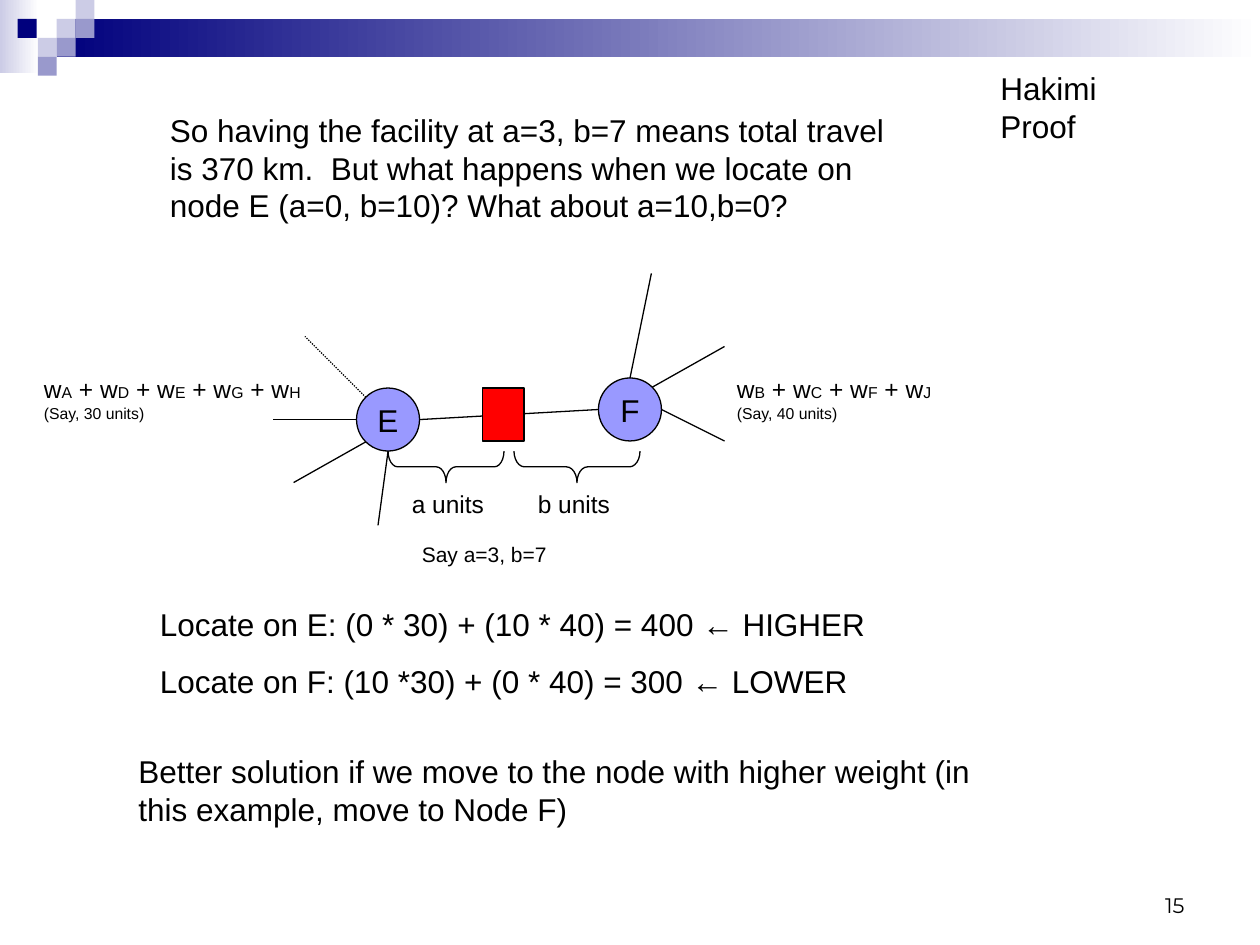
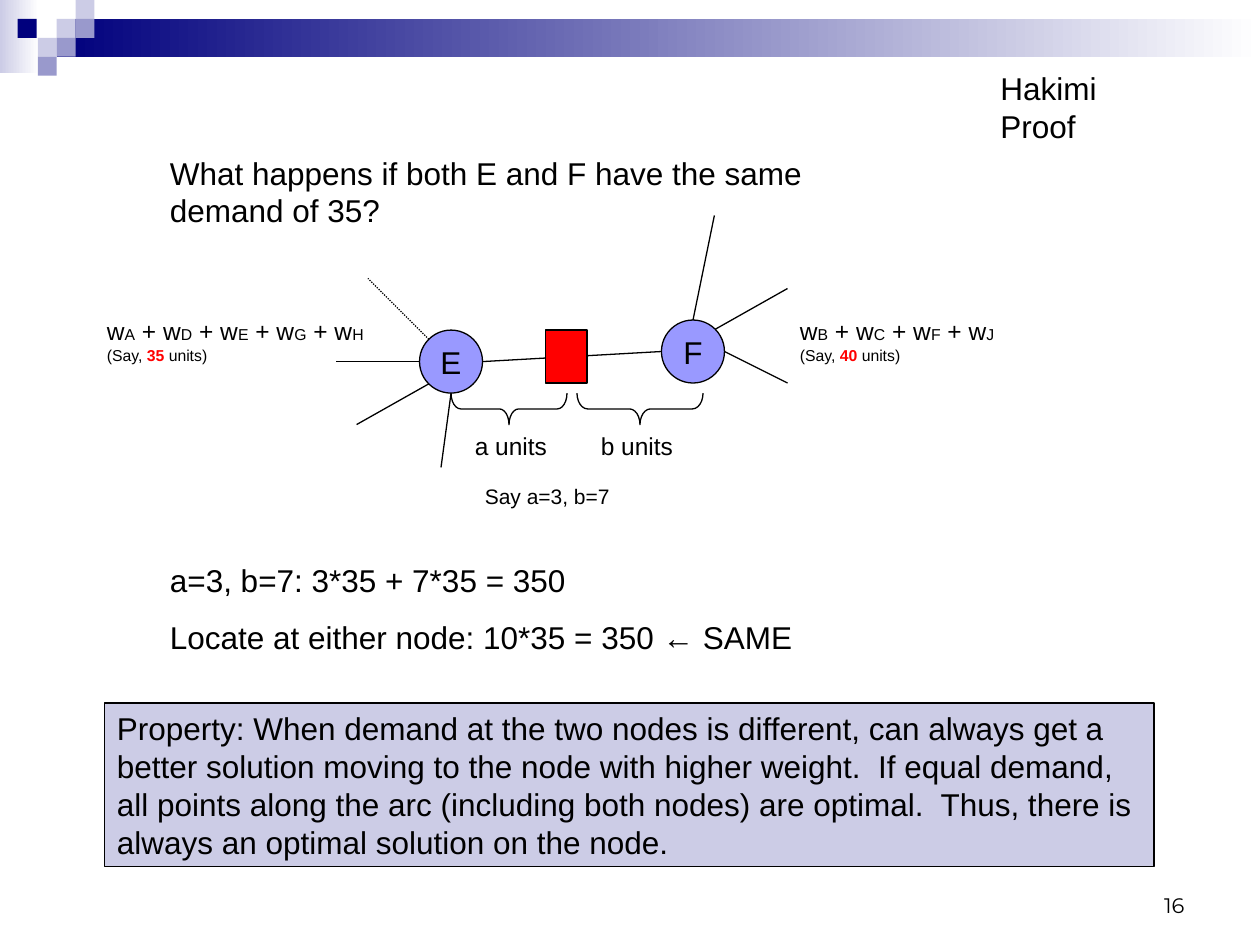
import math

import pptx
import pptx.dml.color
import pptx.enum.dml
import pptx.enum.shapes
import pptx.enum.text
import pptx.oxml.ns
import pptx.util
from lxml import etree

Inches = pptx.util.Inches
Pt = pptx.util.Pt
MSO = pptx.enum.shapes.MSO_SHAPE
ALIGN = pptx.enum.text.PP_ALIGN
ANCHOR = pptx.enum.text.MSO_ANCHOR

COLORS = {
    "black": "000000",
    "white": "FFFFFF",
    "navy": "00007D",
    "pale": "CCCCE6",
    "lavender": "9999CC",
    "node": "9999FF",
    "red": "FF0000",
}
TILE = 0.15
TILES = [
    (0.45, 0.15, "pale"),
    (0.6, 0, "pale"),
    (0.6, 0.15, "lavender"),
    (0.3, 0.3, "pale"),
    (0.14, 0.15, "navy"),
    (0.45, 0.3, "lavender"),
    (0.3, 0.45, "lavender"),
]
RADIUS = 0.25
SPOKES_E = [(225, -0.66, -0.66, True), (135, -0.75, 0.5, False),
            (90, -0.08, 0.84, False), (180, -0.91, 0, False)]
SPOKES_F = [(0, 0.75, 0.25, False), (270, 0.17, -1.08, False),
            (315, 0.75, -0.5, False)]


def rgb(name):
    return pptx.dml.color.RGBColor.from_string(COLORS[name])


def write(sp, paragraphs, size=18, font="Arial", align=ALIGN.LEFT,
          anchor=ANCHOR.TOP, wrap=True, before=0):
    tf = sp.text_frame
    tf.word_wrap = wrap
    tf.auto_size = pptx.enum.text.MSO_AUTO_SIZE.NONE
    tf.vertical_anchor = anchor
    tf.margin_left = tf.margin_right = Inches(0.1)
    tf.margin_top = tf.margin_bottom = Inches(0.05)
    for i, runs in enumerate(paragraphs):
        p = tf.add_paragraph() if i else tf.paragraphs[0]
        p.alignment = align
        p.space_before = Pt(before if i else 0)
        for run in [(runs, {})] if isinstance(runs, str) else runs:
            text, fmt = run
            r = p.add_run()
            r.text = text
            r.font.name = font
            r.font.size = Pt(fmt.get("size", size))
            r.font.bold = fmt.get("bold", False)
            r.font.color.rgb = rgb(fmt.get("color", "black"))


def add_text(slide, x, y, w, h, *paragraphs, **fmt):
    sp = slide.shapes.add_textbox(Inches(x), Inches(y), Inches(w), Inches(h))
    write(sp, paragraphs, **fmt)
    return sp


def add_box(slide, kind, x, y, w, h, fill=None, outline=True):
    sp = slide.shapes.add_shape(kind, Inches(x), Inches(y), Inches(w), Inches(h))
    sp.shadow.inherit = False
    if fill:
        sp.fill.solid()
        sp.fill.fore_color.rgb = rgb(fill)
    else:
        sp.fill.background()
    if outline:
        sp.line.color.rgb = rgb("black")
        sp.line.width = Pt(0.75)
    else:
        sp.line.fill.background()
    return sp


def add_fade(slide, x, y, w, h, color):
    sp = add_box(slide, MSO.RECTANGLE, x, y, w, h, outline=False)
    sp.fill.gradient()
    sp.fill.gradient_angle = 0
    for stop, name in zip(sp.fill.gradient_stops, (color, "white")):
        stop.color.rgb = rgb(name)


def add_line(slide, x1, y1, x2, y2, dotted=False):
    c = slide.shapes.add_connector(pptx.enum.shapes.MSO_CONNECTOR.STRAIGHT,
                                   Inches(x1), Inches(y1), Inches(x2), Inches(y2))
    c.line.color.rgb = rgb("black")
    c.line.width = Pt(0.75)
    if dotted:
        c.line.dash_style = pptx.enum.dml.MSO_LINE.ROUND_DOT
    etree.SubElement(c.element.spPr, pptx.oxml.ns.qn("a:effectLst"))


def add_node(slide, name, cx, cy):
    sp = add_box(slide, MSO.OVAL, cx - RADIUS, cy - RADIUS,
                 2 * RADIUS, 2 * RADIUS, "node")
    write(sp, [name], align=ALIGN.CENTER, anchor=ANCHOR.MIDDLE, wrap=False)


def add_spokes(slide, cx, cy, spokes):
    for angle, dx, dy, dotted in spokes:
        a = math.radians(angle)
        add_line(slide, cx + RADIUS * math.cos(a), cy + RADIUS * math.sin(a),
                 cx + dx, cy + dy, dotted)


def add_brace(slide, x, y, span, label):
    depth = 0.25
    sp = add_box(slide, MSO.LEFT_BRACE, x + (span - depth) / 2,
                 y - (span - depth) / 2, depth, span)
    sp.rotation = 270
    sp.adjustments[0] = span / 12 / depth
    add_text(slide, x + 0.09, y + depth, 0.77, 0.34, label, size=14, wrap=False)


def add_weights(slide, x, y, w, nodes, demand, **demand_fmt):
    total = []
    for i, node in enumerate(nodes):
        total += [(" + w" if i else "w", {"size": 14}), (node, {})]
    say = [("(Say, ", {}), (demand, demand_fmt), (" units)", {})]
    add_text(slide, x, y, w, 0.49, total, say, size=9)


def add_network(slide, x, y, demand_e, demand_f, **demand_fmt):
    fx, fy = x + 1.92, y - 0.08
    add_node(slide, "E", x, y)
    add_node(slide, "F", fx, fy)
    add_line(slide, x + RADIUS, y, fx - RADIUS, fy)
    add_spokes(slide, x, y, SPOKES_E)
    add_spokes(slide, fx, fy, SPOKES_F)
    add_box(slide, MSO.RECTANGLE, x + 0.75, y - 0.25, 0.33, 0.42, "red")
    add_weights(slide, x + 2.67, y - 0.41, 1.75, "BCFJ", demand_f, **demand_fmt)
    add_weights(slide, x - 2.83, y - 0.41, 2.25, "ADEGH", demand_e, **demand_fmt)
    add_brace(slide, x, y + RADIUS, 0.92, "a units")
    add_brace(slide, x + 1, y + RADIUS, 1, "b units")
    add_text(slide, x + 0.17, y + 0.92, 2, 0.3, "Say a=3, b=7", size=12)


def add_slide(prs, number):
    slide = prs.slides.add_slide(prs.slide_layouts.get_by_name("Title Only"))
    add_fade(slide, 0, 0, 0.31, 0.58, "pale")
    add_fade(slide, 0.45, 0.15, 9.55, 0.3, "navy")
    for x, y, color in TILES:
        add_box(slide, MSO.RECTANGLE, x, y, TILE, TILE, color, outline=False)
    title = slide.shapes.title
    title.left, title.top = Inches(7.84), Inches(0.5)
    title.width, title.height = Inches(1.63), Inches(0.4)
    write(title, ["Hakimi Proof"], wrap=False)
    add_text(slide, 7.17, 6.83, 2.33, 0.5, number, size=12, font="Montserrat",
             align=ALIGN.RIGHT, anchor=ANCHOR.BOTTOM)
    return slide


def add_comparison_slide(prs):
    slide = add_slide(prs, "15")
    add_text(slide, 1.25, 0.83, 6.08, 1,
             "So having the facility at a=3, b=7 means total travel is 370 km.  "
             "But what happens when we locate on node E (a=0, b=10)? "
             "What about a=10,b=0?")
    add_network(slide, 3.08, 3.33, "30", "40")
    add_text(slide, 1.17, 4.75, 6.42, 0.86,
             "Locate on E: (0 * 30) + (10 * 40) = 400 ← HIGHER",
             "Locate on F: (10 *30) + (0 * 40) = 300 ← LOWER", before=11.2)
    add_text(slide, 1, 5.92, 7.17, 0.7,
             "Better solution if we move to the node with higher weight "
             "(in this example, move to Node F)")


def add_equal_demand_slide(prs):
    slide = add_slide(prs, "16")
    add_text(slide, 1.25, 1.17, 6.08, 0.7,
             "What happens if both E and F have the same demand of 35?")
    add_network(slide, 3.58, 2.87, "35", "40", color="red", bold=True)
    add_text(slide, 1.25, 4.4, 6.42, 0.86,
             "a=3, b=7: 3*35 + 7*35 = 350",
             "Locate at either node: 10*35 = 350 ← SAME", before=11.2)
    sp = add_box(slide, MSO.RECTANGLE, 0.83, 5.58, 8.33, 1.3, "pale")
    write(sp, ["Property: When demand at the two nodes is different, can always "
               "get a better solution moving to the node with higher weight.  "
               "If equal demand, all points along the arc (including both nodes) "
               "are optimal.  Thus, there is always an optimal solution on the "
               "node."])


def main():
    prs = pptx.Presentation()
    prs.slide_width = Inches(10)
    prs.slide_height = Inches(7.5)
    add_comparison_slide(prs)
    add_equal_demand_slide(prs)
    prs.save("out.pptx")


if __name__ == "__main__":
    main()
